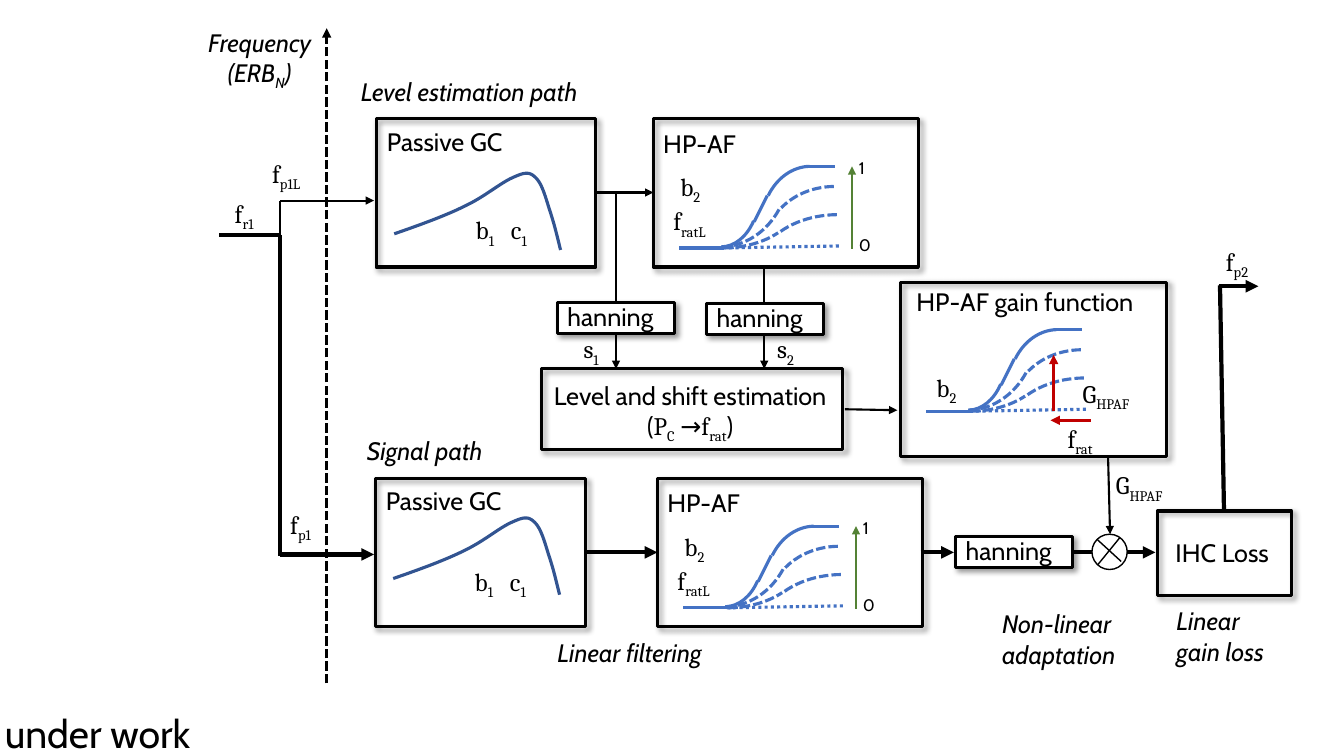
from lxml.etree import SubElement
from pptx import Presentation
from pptx.dml.color import RGBColor
from pptx.enum.dml import MSO_LINE
from pptx.enum.shapes import MSO_CONNECTOR, MSO_SHAPE
from pptx.enum.text import MSO_AUTO_SIZE, PP_ALIGN
from pptx.oxml.ns import qn
from pptx.util import Inches, Pt

COLORS = {"black": "000000", "white": "FFFFFF", "gain": "4472C4",
          "filter": "325491", "scale": "548235", "shift": "C00000"}
SANS, SERIF = "Cabin", "Cambria"
DASH, DOT = MSO_LINE.SQUARE_DOT, MSO_LINE.ROUND_DOT
ITALIC = {"italic": True}
THIN, MEDIUM, BOLD = 1.5, 2.25, 3


def rgb(name):
    return RGBColor.from_string(COLORS[name])


def sub(text):
    """Subscript run."""
    return text, {"baseline": -25000}


class Diagram:
    def __init__(self, slide):
        self.shapes = slide.shapes
        self.format = {"size": Pt(18), "name": SANS}

    def stroke(self, sp, color, width, dash=None):
        sp.line.color.rgb = rgb(color)
        sp.line.width = Pt(width)
        if dash:
            sp.line.dash_style = dash

    def line(self, x1, y1, x2, y2, width=THIN, color="black", dash=None, arrow=False):
        c = self.shapes.add_connector(MSO_CONNECTOR.STRAIGHT, *map(Inches, (x1, y1, x2, y2)))
        self.stroke(c, color, width, dash)
        spPr = c._element.spPr
        if arrow:
            SubElement(spPr.find(qn("a:ln")), qn("a:tailEnd"), type="triangle")
        SubElement(spPr, qn("a:effectLst"))

    def shape(self, kind, x, y, w, h, color="black", width=MEDIUM, dash=None, fill=None):
        sp = self.shapes.add_shape(kind, *map(Inches, (x, y, w, h)))
        sp.shadow.inherit = False
        if fill:
            sp.fill.solid()
            sp.fill.fore_color.rgb = rgb(fill)
        else:
            sp.fill.background()
        self.stroke(sp, color, width, dash)
        return sp

    def box(self, x, y, w, h, fill=None):
        """Rectangle with a soft shadow at the lower right."""
        sp = self.shape(MSO_SHAPE.RECTANGLE, x, y, w, h, fill=fill)
        effects = sp._element.spPr.find(qn("a:effectLst"))
        shadow = SubElement(effects, qn("a:outerShdw"), blurRad=str(Pt(4)), dist=str(Pt(3)),
                            dir="2700000", algn="tl", rotWithShape="0")
        shade = SubElement(shadow, qn("a:srgbClr"), val=COLORS["black"])
        SubElement(shade, qn("a:alpha"), val="40000")

    def arc(self, x, y, w, h, flip, end, dash=None):
        sp = self.shape(MSO_SHAPE.ARC, x, y, w, h, "gain", dash=dash)
        sp.adjustments[0], sp.adjustments[1] = 162.6, end
        sp._element.spPr.find(qn("a:xfrm")).set(flip, "1")

    def curve(self, start, segments, steps=12):
        """Open outline through cubic Bezier segments of three points each."""
        points, p0 = [], start
        for p1, p2, p3 in segments:
            for t in (i / steps for i in range(1, steps + 1)):
                u = 1 - t
                points.append(tuple(
                    Inches(u**3 * a + 3 * u * u * t * b + 3 * u * t * t * c + t**3 * d)
                    for a, b, c, d in zip(p0, p1, p2, p3)))
            p0 = p3
        builder = self.shapes.build_freeform(*map(Inches, start))
        builder.add_line_segments(points, close=False)
        sp = builder.convert_to_shape()
        sp.shadow.inherit = False
        sp.fill.background()
        self.stroke(sp, "filter", MEDIUM)

    def text(self, x, y, w, h, *lines, wrap=True, align=PP_ALIGN.LEFT, **style):
        """Each line is a string or a list of runs: strings or (string, format) pairs."""
        tf = self.shapes.add_textbox(*map(Inches, (x, y, w, h))).text_frame
        tf.word_wrap = wrap
        tf.auto_size = MSO_AUTO_SIZE.SHAPE_TO_FIT_TEXT
        for i, line in enumerate(lines):
            p = tf.add_paragraph() if i else tf.paragraphs[0]
            p.alignment = align
            for run in [line] if isinstance(line, str) else line:
                content, extra = (run, {}) if isinstance(run, str) else run
                r = p.add_run()
                r.text = content
                r.font.color.rgb = rgb("black")
                values = {**self.format, **style, **extra}
                baseline = values.pop("baseline", None)
                for key, value in values.items():
                    setattr(r.font, key, value)
                if baseline:
                    r._r.get_or_add_rPr().set("baseline", str(baseline))

    def symbol(self, x, y, w, letter, index):
        self.text(x, y, w, 0.4, [letter, sub(index)], name=SERIF)


def gain_curves(d, x, y):
    """Family of gain functions; x is the left end, y the level of the top curve."""
    d.arc(x + 0.82, y, 0.98, 1.19, "flipH", 194.49)
    d.arc(x + 0.04, y - 0.27, 0.76, 1.07, "flipV", 191.72)
    for x1, y1, x2, y2 in ((1.28, 0, 1.55, 0), (0.45, 0.81, 0, 0.81), (0.88, 0.29, 0.75, 0.55)):
        d.line(x + x1, y + y1, x + x2, y + y2, MEDIUM, "gain")
    for dx, dy, w, h, flip in ((-0.28, -0.77, 1.38, 1.57, "flipV"),
                               (0.86, 0.2, 1.38, 1.17, "flipH"),
                               (-0.33, -0.24, 1.55, 1.05, "flipV"),
                               (0.77, 0.48, 1.62, 1.16, "flipH")):
        d.arc(x + dx, y + dy, w, h, flip, 195.2 if flip == "flipV" else 194.94, DASH)
    d.line(x + 0.44, y + 0.81, x + 1.61, y + 0.79, MEDIUM, "gain", DOT)


def hp_af(d, x, y):
    d.box(x, y, 2.63, 1.47)
    d.text(x, y + 0.04, 0.96, 0.4, "HP-AF")
    d.symbol(x + 0.17, y + 0.47, 0.6, "b", "2")
    d.symbol(x + 0.1, y + 0.81, 0.8, "f", "ratL")
    gain_curves(d, x + 0.25, y + 0.47)
    d.line(x + 1.97, y + 1.29, x + 1.97, y + 0.47, THIN, "scale", arrow=True)
    for dy, level in ((1.1, "0"), (0.34, "1")):
        d.text(x + 1.94, y + dy, 0.29, 0.3, level, wrap=False, size=Pt(12))


def passive_gc(d, x, y, w, curve_y, label_y):
    d.box(x, y, w, 1.47)
    d.text(x + 0.01, y + 0.02, 1.44, 0.4, "Passive GC")
    d.symbol(x + 0.89, label_y, 0.6, "b", "1")
    d.symbol(x + 1.24, label_y, 0.6, "c", "1")
    segments = (((0.26, -0.09), (0.51, -0.18), (0.71, -0.28)),
                ((0.9, -0.37), (1.06, -0.51), (1.18, -0.56)),
                ((1.29, -0.61), (1.34, -0.62), (1.4, -0.56)),
                ((1.47, -0.5), (1.51, -0.33), (1.55, -0.21)),
                ((1.59, -0.09), (1.62, 0.04), (1.65, 0.16)))
    left = x + 0.18
    d.curve((left, curve_y), [[(left + a, curve_y + b) for a, b in seg] for seg in segments])


def hanning(d, x, y):
    d.box(x, y, 1.16, 0.31, fill="white")
    d.text(x, y - 0.06, 1.15, 0.4, "hanning")


def main():
    prs = Presentation()
    prs.slide_width, prs.slide_height = Inches(13.33), Inches(7.5)
    d = Diagram(prs.slides.add_slide(prs.slide_layouts[6]))

    # Signal flow
    for ends in ((7.58, 2.65, 7.58, 3.66), (2.78, 1.99, 3.71, 1.99), (5.9, 1.91, 6.48, 1.91),
                 (6.11, 1.91, 6.11, 3.66), (10.99, 4.53, 11.01, 5.3), (8.38, 4.06, 8.9, 4.07)):
        d.line(*ends, arrow=True)
    for ends in ((10.64, 5.48, 11.46, 5.48), (12.09, 2.84, 12.48, 2.84), (5.81, 5.48, 6.52, 5.48),
                 (9.13, 5.48, 9.46, 5.48), (2.78, 5.5, 3.71, 5.5)):
        d.line(*ends, BOLD, arrow=True)
    for ends in ((2.78, 2.33, 2.17, 2.33), (12.1, 2.83, 12.14, 5.07), (2.78, 2.33, 2.78, 5.52)):
        d.line(*ends, BOLD)
    d.line(2.78, 1.99, 2.78, 2.33)
    d.line(3.24, 6.78, 3.24, 0.28, MEDIUM, dash=DASH, arrow=True)

    # Blocks
    passive_gc(d, 3.73, 1.18, 2.18, 2.32, 2.08)
    passive_gc(d, 3.72, 4.75, 2.09, 5.74, 5.57)
    hp_af(d, 6.48, 1.18)
    hp_af(d, 6.52, 4.75)
    for x, y in ((5.53, 3), (7.01, 3.01), (9.48, 5.32)):
        hanning(d, x, y)
    d.box(5.37, 3.66, 2.99, 0.8)
    serif = {"name": SERIF}
    low = {"name": SERIF, "baseline": -25000}
    d.text(5.26, 3.72, 3.17, 0.71,
           ["Level and shift estimation (", ("P", serif), ("C", low), " →",
            ("f", serif), ("rat", low), ")"], align=PP_ALIGN.CENTER)
    d.box(11.48, 5.07, 1.33, 0.84)
    d.text(11.56, 5.28, 1.17, 0.4, "IHC Loss")
    d.shape(MSO_SHAPE.OVAL, 10.83, 5.3, 0.35, 0.35, width=1, fill="white")
    d.line(11.11, 5.33, 10.89, 5.6, 1)
    d.line(11.12, 5.57, 10.88, 5.35, 1)

    # Gain function
    d.box(8.93, 2.8, 2.64, 1.73)
    d.text(8.99, 2.79, 2.55, 0.4, "HP-AF gain function")
    gain_curves(d, 9.18, 3.27)
    d.line(10.82, 4.17, 10.42, 4.17, MEDIUM, "shift", arrow=True)
    d.line(10.45, 4.08, 10.45, 3.52, MEDIUM, "shift", arrow=True)

    # Signal names
    for x, y, w, letter, index in ((2.23, 1.92, 0.6, "f", "r1"), (2.6, 1.52, 0.7, "f", "p1L"),
                                   (2.78, 5, 0.6, "f", "p1"), (12.06, 2.39, 0.6, "f", "p2"),
                                   (5.69, 3.26, 0.6, "s", "1"), (7.61, 3.26, 0.6, "s", "2"),
                                   (9.19, 3.64, 0.6, "b", "2"), (10.49, 4.15, 0.6, "f", "rat"),
                                   (10.64, 3.7, 0.89, "G", "HPAF"),
                                   (10.97, 4.61, 0.89, "G", "HPAF")):
        d.symbol(x, y, w, letter, index)

    # Captions
    d.text(1.92, 0.22, 1.31, 0.71, "Frequency", ["(ERB", sub("N"), ")"],
           wrap=False, align=PP_ALIGN.CENTER, **ITALIC)
    d.text(3.48, 0.71, 3.63, 0.4, "Level estimation path", **ITALIC)
    d.text(3.54, 4.27, 1.58, 0.4, "Signal path", **ITALIC)
    d.text(5.43, 6.27, 2.05, 0.4, "Linear filtering", **ITALIC)
    d.text(9.84, 5.99, 1.46, 0.71, "Non-linear", "adaptation", **ITALIC)
    d.text(11.57, 5.96, 1.15, 0.71, "Linear gain loss", **ITALIC)
    d.text(-0.05, 6.99, 2.17, 0.57, "under work", wrap=False, size=Pt(28))
    prs.save("out.pptx")


if __name__ == "__main__":
    main()
